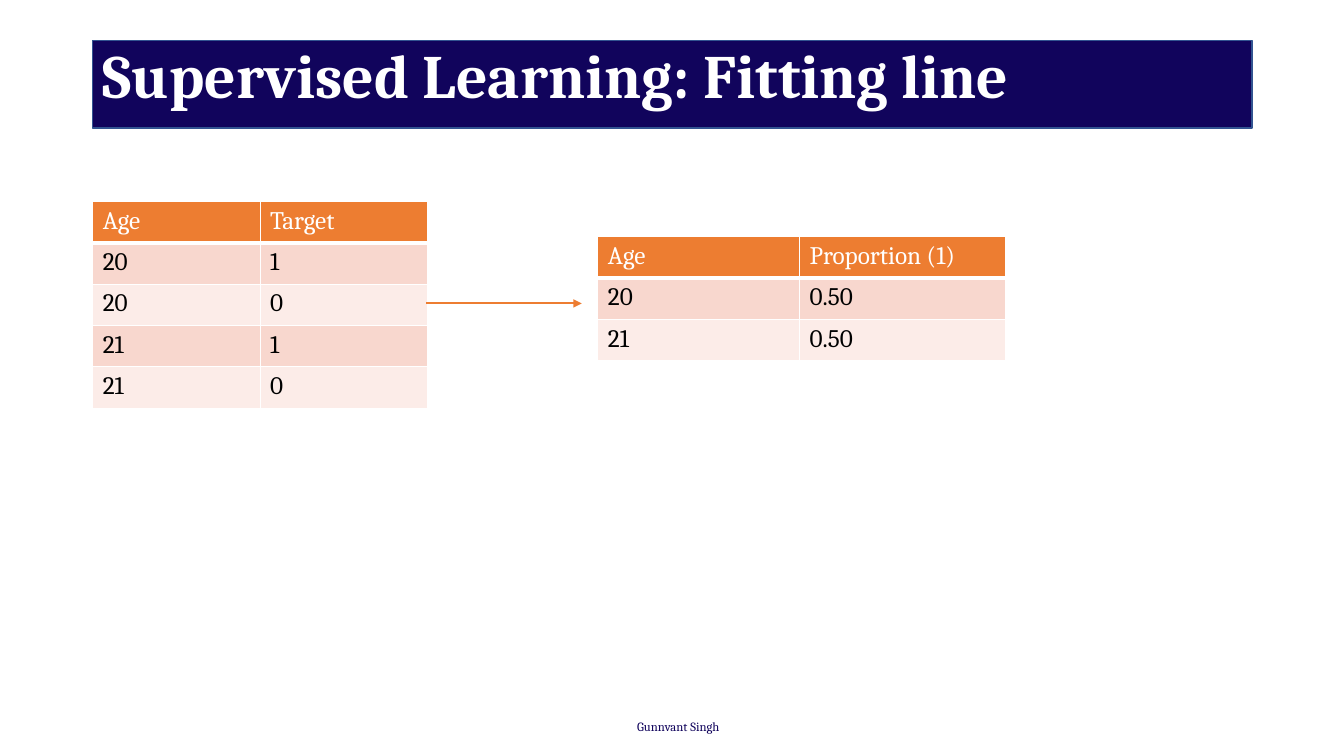
from dataclasses import dataclass
from lxml import etree
from pptx import Presentation
from pptx import util as u
from pptx.dml.color import RGBColor
from pptx.enum import shapes, text
from pptx.oxml import ns

PX = u.Inches(1) // 100


@dataclass(frozen=True)
class Theme:
    font: str = "Cambria"
    navy: str = "11045C"
    edge: str = "325491"
    orange: str = "ED7D31"
    bands: tuple = ("F8D7CE", "FCECE8")
    white: str = "FFFFFF"
    black: str = "000000"
    title: int = 44
    body: int = 18
    footer: int = 9


class SlideBuilder:
    def __init__(self, deck, theme):
        self.theme = theme
        self.slide = deck.slides.add_slide(deck.slide_layouts[5])

    def place(self, *lengths):
        return [length * PX for length in lengths]

    def put_text(self, frame, words, size, color, bold=False, **frame_format):
        for name, value in frame_format.items():
            setattr(frame, name, value)
        paragraph = frame.paragraphs[0]
        run = paragraph.add_run()
        run.text = words
        values = {"name": self.theme.font, "size": u.Pt(size), "bold": bold}
        for name, value in values.items():
            setattr(run.font, name, value)
        run.font.color.rgb = RGBColor.from_string(color)
        return paragraph

    def title(self, words, *box):
        heading = self.slide.shapes.title
        for name, value in zip(("left", "top", "width", "height"), self.place(*box)):
            setattr(heading, name, value)
        paragraph = self.put_text(
            heading.text_frame, words, self.theme.title, self.theme.white, True,
            vertical_anchor=text.MSO_ANCHOR.TOP, auto_size=text.MSO_AUTO_SIZE.NONE)
        paragraph.alignment = text.PP_ALIGN.LEFT
        paragraph.line_spacing = 0.9

    def band(self, *box):
        band = self.slide.shapes.add_shape(shapes.MSO_SHAPE.RECTANGLE, *self.place(*box))
        band.shadow.inherit = False
        band.fill.solid()
        band.fill.fore_color.rgb = RGBColor.from_string(self.theme.navy)
        band.line.color.rgb = RGBColor.from_string(self.theme.edge)
        band.line.width = u.Pt(1)
        self.slide.shapes.title.element.addprevious(band.element)

    def footer(self, words, *box):
        footer = self.slide.shapes.add_textbox(*self.place(*box))
        self.put_text(footer.text_frame, words, self.theme.footer, self.theme.navy,
                      word_wrap=False, auto_size=text.MSO_AUTO_SIZE.SHAPE_TO_FIT_TEXT)

    def border(self, cell, bottom):
        properties = cell._tc.get_or_add_tcPr()
        for side, points in {"L": 1, "R": 1, "T": 1, "B": bottom}.items():
            line = etree.SubElement(properties, ns.qn(f"a:ln{side}"), w=str(u.Pt(points)))
            fill = etree.SubElement(line, ns.qn("a:solidFill"))
            etree.SubElement(fill, ns.qn("a:srgbClr"), val=self.theme.white)

    def table(self, records, left, top, widths, row_height):
        box = self.place(left, top, sum(widths), row_height * len(records))
        table = self.slide.shapes.add_table(len(records), len(widths), *box).table
        table.horz_banding = False
        for column, width in zip(table.columns, widths):
            column.width = width * PX
        for index, record in enumerate(records):
            header = index == 0
            fill = self.theme.orange if header else self.theme.bands[(index - 1) % 2]
            color = self.theme.white if header else self.theme.black
            for cell, words in zip(table.rows[index].cells, record):
                self.border(cell, 3 if header else 1)
                cell.fill.solid()
                cell.fill.fore_color.rgb = RGBColor.from_string(fill)
                self.put_text(cell.text_frame, words, self.theme.body, color)

    def arrow(self, *ends):
        arrow = self.slide.shapes.add_connector(
            shapes.MSO_CONNECTOR.STRAIGHT, *self.place(*ends))
        arrow.line.color.rgb = RGBColor.from_string(self.theme.orange)
        arrow.line.width = u.Pt(1.5)
        etree.SubElement(arrow.line._get_or_add_ln(), ns.qn("a:tailEnd"), type="triangle")
        etree.SubElement(arrow.element.spPr, ns.qn("a:effectLst"))


def main():
    deck = Presentation()
    deck.slide_width, deck.slide_height = 1333 * PX, 750 * PX
    builder = SlideBuilder(deck, Theme())
    builder.band(92, 40, 1150, 87)
    builder.title("Supervised Learning: Fitting line", 92, 40, 1150, 145)
    builder.footer("Gunnvant Singh", 622, 708, 108, 25)
    observations = [("Age", "Target"), ("20", "1"), ("20", "0"), ("21", "1"), ("21", "0")]
    proportions = [("Age", "Proportion (1)"), ("20", "0.50"), ("21", "0.50")]
    builder.table(observations, 92, 200, (166, 166), 41)
    builder.table(proportions, 593, 235, (200, 204), 41)
    builder.arrow(423, 301, 577, 301)
    deck.save("out.pptx")


if __name__ == "__main__":
    main()
